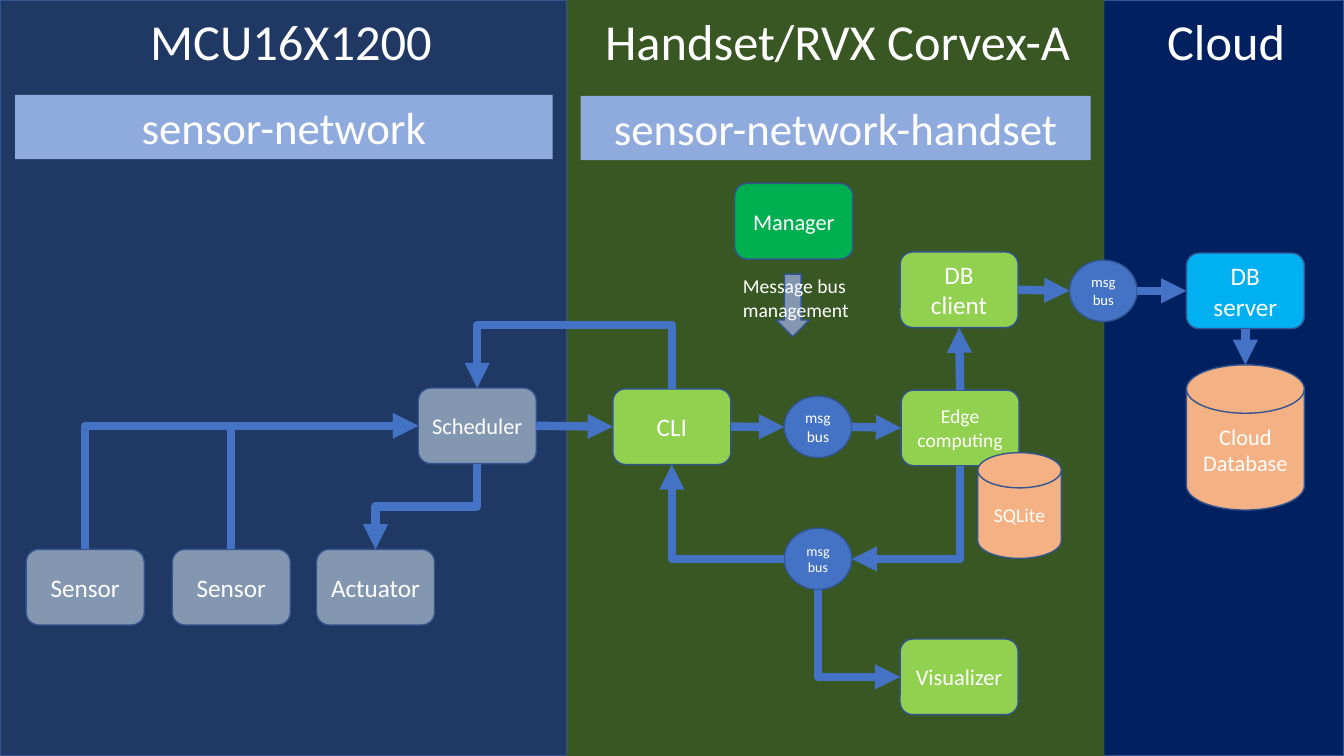
import dataclasses
import typing

import lxml.etree
import pptx
import pptx.dml.color
import pptx.enum.shapes
import pptx.enum.text
import pptx.oxml.ns
import pptx.util

FORM = pptx.enum.shapes.MSO_SHAPE
LINK = pptx.enum.shapes.MSO_CONNECTOR
ALIGN = pptx.enum.text.PP_ALIGN
qn = pptx.oxml.ns.qn

WIDE = pptx.util.Inches(13.33)
HIGH = pptx.util.Inches(7.5)


@dataclasses.dataclass(frozen=True)
class Theme:
    """Colours, font and type sizes of the slide."""
    font: str = "Calibri"
    white: str = "FFFFFF"
    edge: str = "325491"
    blue: str = "4472C4"
    navy: str = "002060"
    forest: str = "385723"
    dusk: str = "203864"
    band: str = "8FAADC"
    slate: str = "8497B0"
    lime: str = "92D050"
    green: str = "00B050"
    sky: str = "00B0F0"
    peach: str = "F4B183"
    title: float = 36
    head: float = 32
    large: float = 18
    mid: float = 16
    small: float = 14
    hair: float = 1
    wire: float = 6


THEME = Theme()


@dataclasses.dataclass(frozen=True)
class Box:
    """A shape by its centre and size, in percent of the slide; no form means a text box."""
    x: float
    y: float
    wide: float
    high: float
    form: typing.Optional[FORM] = None
    fill: str = ""
    text: str = ""
    size: float = THEME.small
    lined: bool = True
    left: bool = False

    def side(self, name: str) -> tuple[float, float]:
        """Return the middle of side N, E, S or W."""
        dx, dy = {"N": (0, -1), "E": (1, 0), "S": (0, 1), "W": (-1, 0)}[name]
        return self.x + dx * self.wide / 2, self.y + dy * self.high / 2


@dataclasses.dataclass(frozen=True)
class Wire:
    """An arrow between box sides; turn is the row of a U or Z route."""
    start: str
    out: str
    end: str
    into: str
    turn: typing.Optional[float] = None


def node(x: float, y: float, fill: str, text: str, size: float = THEME.large) -> Box:
    """Return a rounded box of the common size."""
    return Box(x, y, 8.78, 10, FORM.ROUNDED_RECTANGLE, fill, text, size)


def bus(x: float, y: float, size: float) -> Box:
    """Return a message bus bubble."""
    return Box(x, y, 5.03, 8.13, FORM.OVAL, THEME.blue, "msg\nbus", size)


def disk(x: float, y: float, wide: float, high: float, text: str, size: float) -> Box:
    """Return a database drum."""
    return Box(x, y, wide, high, FORM.FLOWCHART_MAGNETIC_DISK, THEME.peach, text, size)


def panel(x: float, wide: float, fill: str, lined: bool = True) -> Box:
    """Return a full-height zone."""
    return Box(x, 50, wide, 100, FORM.RECTANGLE, fill, lined=lined)


def band(x: float, y: float, wide: float, text: str) -> Box:
    """Return a heading band."""
    return Box(x, y, wide, 8.53, FORM.RECTANGLE, THEME.band, text, THEME.head, False)


def title(x: float, wide: float, text: str, left: bool = True) -> Box:
    """Return a zone title."""
    return Box(x, 5.4, wide, 9.47, text=text, size=THEME.title, left=left)


ZONES = [
    panel(91.06, 17.88, THEME.navy),
    panel(62.15, 40.05, THEME.forest, False),
    panel(21.07, 42.15, THEME.dusk),
]
NODES = {
    "sense1": node(6.34, 77.67, THEME.slate, "Sensor"),
    "sense2": node(17.21, 77.67, THEME.slate, "Sensor"),
    "act": node(27.94, 77.67, THEME.slate, "Actuator"),
    "sched": node(35.51, 56.33, THEME.slate, "Scheduler", THEME.mid),
    "cli": node(49.99, 56.44, THEME.lime, "CLI"),
    "client": node(71.36, 38.33, THEME.lime, "DB client"),
    "server": node(92.66, 38.47, THEME.sky, "DB\nserver"),
    "view": node(71.36, 89.53, THEME.lime, "Visualizer", THEME.mid),
    "edge": node(71.44, 56.6, THEME.lime, "Edge computing", THEME.small),
    "bus1": bus(60.86, 56.47, 11),
    "bus2": bus(82.09, 38.47, 10.5),
    "bus3": bus(60.86, 73.93, 10),
    "cloud": disk(92.66, 57.87, 8.78, 19.2, "Cloud\nDatabase", THEME.mid),
}
WIRES = [
    Wire("sense1", "N", "sched", "W"),
    Wire("sense2", "N", "sched", "W"),
    Wire("sched", "S", "act", "N", 67),
    Wire("sched", "E", "cli", "W"),
    Wire("cli", "E", "bus1", "W"),
    Wire("bus1", "E", "edge", "W"),
    Wire("edge", "N", "client", "S"),
    Wire("client", "E", "bus2", "W"),
    Wire("bus2", "E", "server", "W"),
    Wire("server", "S", "cloud", "N"),
    Wire("bus3", "S", "view", "W"),
    Wire("edge", "S", "bus3", "E"),
    Wire("bus3", "W", "cli", "S"),
    Wire("cli", "N", "sched", "N", 43),
]
FRONT = [
    disk(75.86, 66.87, 6.22, 14, "SQLite", THEME.small),
    title(62.33, 36.75, "Handset/RVX Corvex-A", False),
    title(21.76, 22.65, "MCU16X1200"),
    title(92.85, 13.5, "Cloud"),
    band(21.12, 16.8, 39.98, "sensor-network"),
    band(62.18, 16.93, 37.95, "sensor-network-handset"),
    node(59.06, 29.27, THEME.green, "Manager", THEME.mid),
    Box(58.99, 40.4, 2.48, 8.27, FORM.DOWN_ARROW, THEME.slate),
    Box(59.45, 39.4, 9.83, 7.6, text="Message bus\nmanagement", left=True),
]


def tint(code: str) -> pptx.dml.color.RGBColor:
    """Turn a hex code into a colour."""
    return pptx.dml.color.RGBColor.from_string(code)


def spot(x: float, y: float) -> tuple[int, int]:
    """Turn percent of the slide into lengths."""
    return round(x * WIDE / 100), round(y * HIGH / 100)


def write(frame: typing.Any, box: Box) -> None:
    """Fill a text frame with the words of a box."""
    frame.word_wrap = True
    frame.text = box.text
    for para in frame.paragraphs:
        para.alignment = ALIGN.LEFT if box.left else ALIGN.CENTER
        for run in para.runs:
            run.font.name = THEME.font
            run.font.size = pptx.util.Pt(box.size)
            run.font.color.rgb = tint(THEME.white)


def draw(shapes: typing.Any, box: Box) -> None:
    """Draw one box."""
    area = spot(box.x - box.wide / 2, box.y - box.high / 2) + spot(box.wide, box.high)
    if box.form is None:
        shape = shapes.add_textbox(*area)
    else:
        shape = shapes.add_shape(box.form, *area)
        shape.shadow.inherit = False
        shape.fill.solid()
        shape.fill.fore_color.rgb = tint(box.fill)
        if box.lined:
            shape.line.color.rgb = tint(THEME.edge)
            shape.line.width = pptx.util.Pt(THEME.hair)
        else:
            shape.line.fill.background()
    if box.text:
        write(shape.text_frame, box)


def join(shapes: typing.Any, wire: Wire) -> None:
    """Draw one arrow; a route that leaves upright is an elbow turned by 90 degrees."""
    x1, y1 = spot(*NODES[wire.start].side(wire.out))
    x2, y2 = spot(*NODES[wire.end].side(wire.into))
    stand = wire.out in "NS"
    corner = stand != (wire.into in "NS")
    bent = corner or wire.turn is not None
    ends = x1, y1, x2, y2
    if bent and stand:
        mx, my, dx, dy = (x1 + x2) / 2, (y1 + y2) / 2, x2 - x1, y2 - y1
        ends = tuple(map(round, (mx - dy / 2, my + dx / 2, mx + dy / 2, my - dx / 2)))
    link = shapes.add_connector(LINK.ELBOW if bent else LINK.STRAIGHT, *ends)
    link.line.color.rgb = tint(THEME.blue)
    link.line.width = pptx.util.Pt(THEME.wire)
    props = link.element.spPr
    if bent and stand:
        props.find(qn("a:xfrm")).set("rot", str(90 * 60000))
    geom = props.find(qn("a:prstGeom"))
    if corner:
        geom.set("prst", "bentConnector2")
    elif bent:
        share = (spot(0, wire.turn)[1] - y1) / (y2 - y1)
        lxml.etree.SubElement(geom.find(qn("a:avLst")), qn("a:gd"),
                              name="adj1", fmla=f"val {round(share * 100000)}")
    lxml.etree.SubElement(props.find(qn("a:ln")), qn("a:tailEnd"), type="triangle")
    lxml.etree.SubElement(props, qn("a:effectLst"))


def main() -> None:
    """Build and save the slide."""
    deck = pptx.Presentation()
    deck.slide_width, deck.slide_height = WIDE, HIGH
    shapes = deck.slides.add_slide(deck.slide_layouts[6]).shapes
    for box in [*ZONES, *NODES.values()]:
        draw(shapes, box)
    for wire in WIRES:
        join(shapes, wire)
    for box in FRONT:
        draw(shapes, box)
    deck.save("out.pptx")


main()
